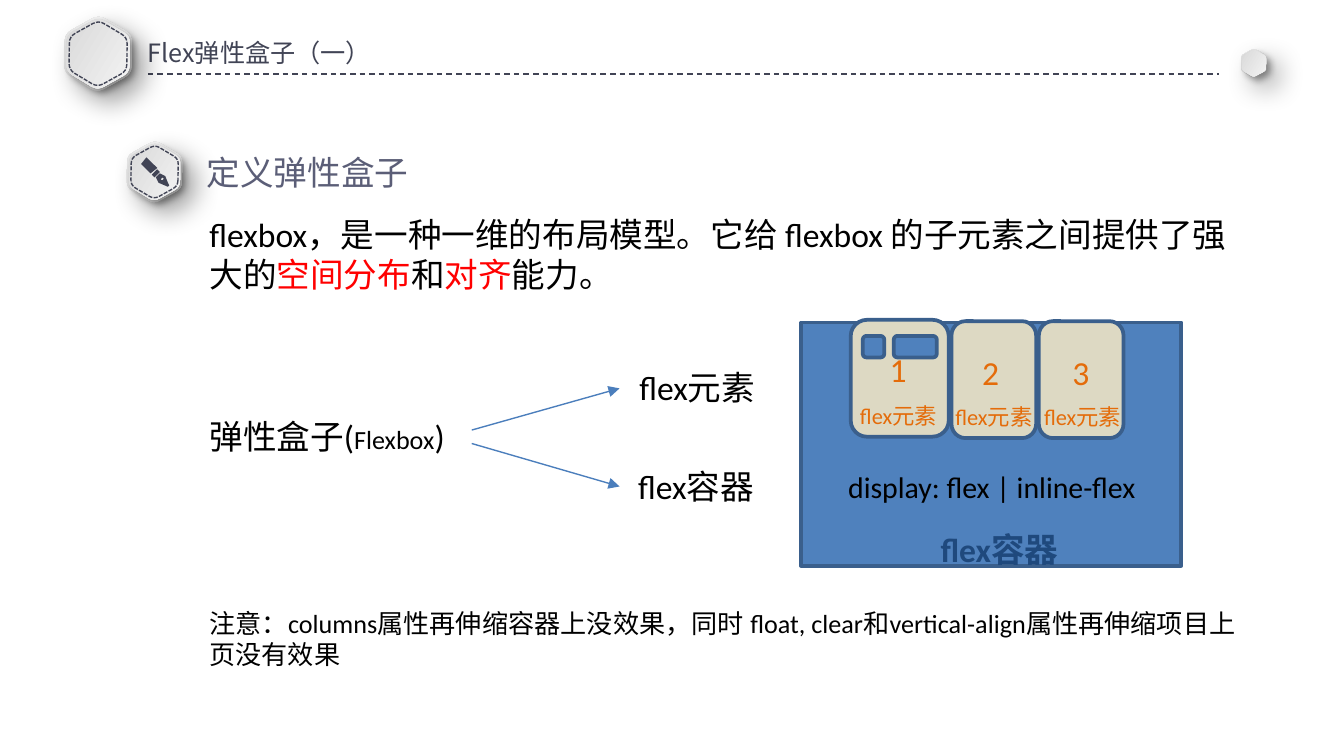
import math
import pptx
import pptx.util
import pptx.dml.color
import pptx.enum.dml
import pptx.enum.shapes
import pptx.enum.text
import pptx.oxml.ns
from lxml import etree

# Content
LATIN, HAN = "Calibri", "Noto Sans CJK SC"
INK, BLACK, RED, ORANGE = "414455", "000000", "FF0000", "E46C0A"
BLUE, EDGE, SAND, ARROW = "4F81BD", "3A5F8C", "DDD9C3", "4B7EBC"
GRAY, PALE = "D3D3D3", "F9F9F9"

# Paragraphs: space before, then runs of (text, size, colour)
BODY = [
    (0, [("flexbox，是一种一维的布局模型。它给 flexbox 的子元素之间提供了强大的", 18, BLACK),
         ("空间分布", 18, RED), ("和", 18, BLACK),
         ("对齐", 18, RED), ("能力。", 18, BLACK)]),
    (65, [("弹性盒子(", 18, BLACK), ("Flexbox", 14, BLACK), (")", 18, BLACK)]),
    (81, [("注意：columns属性再伸缩容器上没效果，同时 float, clear和vertical-align"
           "属性再伸缩项目上页没有效果", 14, BLACK)]),
]
# Single lines: text, box, size, colour, extra format
TITLE = ("Flex弹性盒子（一）", (1.04, 0.25, 2.68, 0.28), 13.5, INK,
         dict(face=HAN, inset=(0.06, 0.03)))
HEAD = ("定义弹性盒子", (1.44, 1.08, 2.68, 0.4), 18, "5B5E77", dict(face=HAN))
BOX = (5.96, 2.4, 2.83, 1.81)
NOTES = [
    ("display: flex | inline-flex", (6.03, 3.44, 2.7, 0.37), 16, BLACK, dict(center=True)),
    ("flex容器", (6.9, 3.89, 1.18, 0.4), 18, "1F497D", dict(bold=True)),
]
# Branches: text, text left and top, arrow start and end heights
BRANCHES = [("flex元素", 4.66, 2.68, 3.2, 2.89),
            ("flex容器", 4.65, 3.42, 3.3, 3.62)]
# Cards: number, left, top, width; left and width of label and of number; number top
CARDS = [("1", 6.33, 2.38, 0.73, (6.3, 0.99), (6.52, 0.48), 2.55),
         ("2", 7.08, 2.39, 0.63, (7.01, 0.86), (7.21, 0.41), 2.57),
         ("3", 7.73, 2.39, 0.63, (7.67, 0.86), (7.88, 0.41), 2.57)]
CHIPS = [(6.42, 2.5, 0.16, 0.16), (6.65, 2.5, 0.32, 0.16)]
# Badges: centre and heights of rim, face and stitched line
SMALL = (9.33, 0.47, [0.19, 0.18])
LARGE = (0.73, 0.4, [0.5, 0.47, 0.43])
MEDIUM = (1.15, 1.28, [0.41, 0.38, 0.35])
# Pen: each part is a list of outlines
PEN = [
    [[(1.19, 1.28), (1.17, 1.26), (1.13, 1.3), (1.15, 1.32)]],
    [[(1.17, 1.25), (1.09, 1.17), (1.05, 1.22), (1.12, 1.29)]],
    [[(1.26, 1.38), (1.25, 1.36), (1.23, 1.31), (1.19, 1.29), (1.16, 1.32),
      (1.18, 1.36), (1.25, 1.39)],
     [(1.21, 1.34), (1.2, 1.34), (1.2, 1.33), (1.21, 1.32), (1.22, 1.33)]],
]

inch, qn = pptx.util.Inches, pptx.oxml.ns.qn
Dash = pptx.enum.dml.MSO_LINE
Kind = pptx.enum.shapes.MSO_SHAPE

# Slide of 16 by 9
deck = pptx.Presentation()
deck.slide_width, deck.slide_height = inch(10), inch(10 * 9 / 16)
slide = deck.slides.add_slide(deck.slide_layouts[6])
shapes = slide.shapes


def color(code):
    return pptx.dml.color.RGBColor.from_string(code)


def node(parent, tag, **values):
    return etree.SubElement(parent, qn(tag), {k: str(v) for k, v in values.items()})


def paint(shape, fill=None, line=None, width=0.75, dash=None):
    shape.shadow.inherit = False
    if fill:
        shape.fill.solid()
        shape.fill.fore_color.rgb = color(fill)
    else:
        shape.fill.background()
    if line:
        shape.line.color.rgb = color(line)
        shape.line.width = pptx.util.Pt(width)
        if dash:
            shape.line.dash_style = dash
    else:
        shape.line.fill.background()


def block(kind, box, fill):
    shape = shapes.add_shape(kind, *map(inch, box))
    paint(shape, fill, EDGE, 2)


def write(box, paras, face=LATIN, inset=(0.1, 0.05), center=False, bold=None):
    frame = shapes.add_textbox(*map(inch, box)).text_frame
    form = dict(word_wrap=True, margin_left=inch(inset[0]), margin_right=inch(inset[0]),
                margin_top=inch(inset[1]), margin_bottom=inch(inset[1]))
    for key, value in form.items():
        setattr(frame, key, value)
    for i, (gap, runs) in enumerate(paras):
        para = frame.add_paragraph() if i else frame.paragraphs[0]
        para.space_before = pptx.util.Pt(gap)
        if center:
            para.alignment = pptx.enum.text.PP_ALIGN.CENTER
        for text, size, tint in runs:
            run = para.add_run()
            run.text = text
            run.font.color.rgb = color(tint)
            for key, value in dict(name=face, size=pptx.util.Pt(size), bold=bold).items():
                setattr(run.font, key, value)
            run.font._element.find(qn("a:latin")).addnext(
                etree.Element(qn("a:ea"), {"typeface": HAN}))


def label(text, box, size, tint, form=None):
    write(box, [(0, [(text, size, tint)])], **(form or {}))


def rule(start, end, tint, dash=None, arrow=False):
    line = shapes.add_connector(pptx.enum.shapes.MSO_CONNECTOR.STRAIGHT,
                                *map(inch, start + end))
    line.line.color.rgb = color(tint)
    line.line.width = pptx.util.Pt(0.75)
    if dash:
        line.line.dash_style = dash
    props = line._element.spPr
    if arrow:
        node(props.find(qn("a:ln")), "a:tailEnd", type="triangle")
    node(props, "a:effectLst")


def outline(loops):
    loops = [[(inch(x), inch(y)) for x, y in loop] for loop in loops]
    pen = shapes.build_freeform(*loops[0][0])
    for i, loop in enumerate(loops):
        if i:
            pen.move_to(*loop[0])
        pen.add_line_segments(loop[1:], close=True)
    return pen.convert_to_shape()


def hexagon(x, y, height, cut=0.2):
    """Hexagon whose corners are rounded by quadratic curves."""
    size = height / math.sqrt(3)
    tips = [(x + size * math.cos(k * math.pi / 3), y + size * math.sin(k * math.pi / 3))
            for k in range(6)]
    dots = []
    for k, tip in enumerate(tips):
        a, b = ([t + cut * (n - t) for t, n in zip(tip, near)]
                for near in (tips[k - 1], tips[(k + 1) % 6]))
        for t in (0, 0.25, 0.5, 0.75, 1):
            dots.append(tuple((1 - t) ** 2 * p + 2 * t * (1 - t) * q + t * t * r
                              for p, q, r in zip(a, tip, b)))
    shape = outline([dots])
    shape.rotation = 30.9
    return shape


def badge(x, y, sizes):
    # Rim and face: gradient angle, shadow blur and distance
    looks = [(90, 15, 9), (0, 4, 3)]
    for size, (angle, blur, dist) in zip(sizes, looks):
        shape = hexagon(x, y, size)
        paint(shape)
        shape.fill.gradient()
        shape.fill.gradient_angle = angle
        for stop, tint in zip(shape.fill.gradient_stops, (GRAY, PALE)):
            stop.color.rgb = color(tint)
        glow = node(shape._element.spPr.find(qn("a:effectLst")), "a:outerShdw",
                    blurRad=blur * 12700, dist=dist * 12700, dir=45 * 60000,
                    algn="tl", rotWithShape=0)
        node(node(glow, "a:srgbClr", val=BLACK), "a:alpha", val=40000)
    for size in sizes[2:]:
        paint(hexagon(x, y, size), line=INK, dash=Dash.SQUARE_DOT)


# Body and header
write((1.46, 1.54, 7.95, 3.77), BODY)
label(*TITLE)
rule((1.1, 0.55), (9.07, 0.55), INK, Dash.DASH)
badge(*SMALL)
badge(*LARGE)

# Section heading with pen badge
label(*HEAD)
badge(*MEDIUM)
for part in PEN:
    paint(outline(part), INK)

# Container and its cards
block(Kind.RECTANGLE, BOX, BLUE)
for note in NOTES:
    label(*note)
for digit, left, top, width, (near, span), (mid, room), high in CARDS:
    block(Kind.ROUNDED_RECTANGLE, (left, top, width, 0.87), SAND)
    label("flex元素", (near, top + 0.56, span, 0.3), 12, ORANGE)
    label(digit, (mid, high, room, 0.4), 18, ORANGE)

# Branches
for text, left, top, start, end in BRANCHES:
    rule((3.51, start), (4.61, end), ARROW, arrow=True)
    label(text, (left, top, 1.3, 0.4), 18, BLACK)

# Children of the first card
for chip in CHIPS:
    block(Kind.ROUNDED_RECTANGLE, chip, BLUE)

deck.save("out.pptx")
